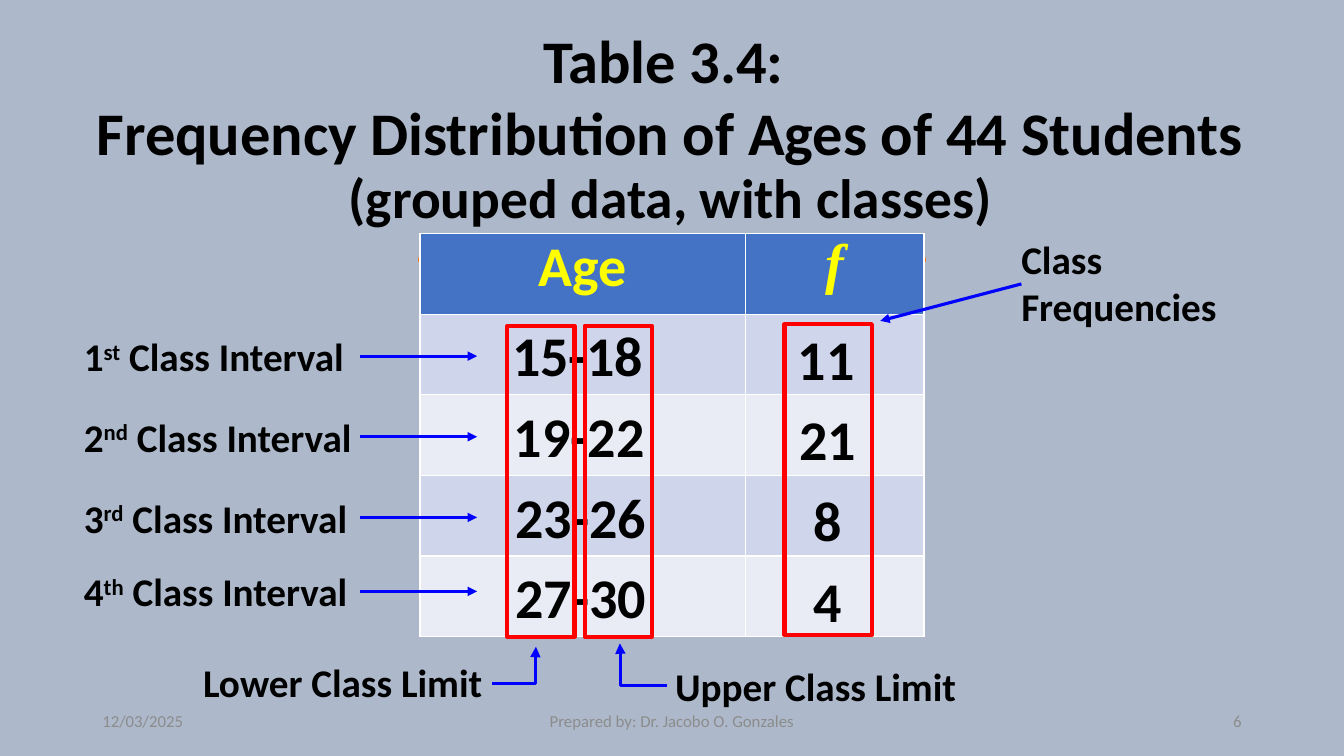
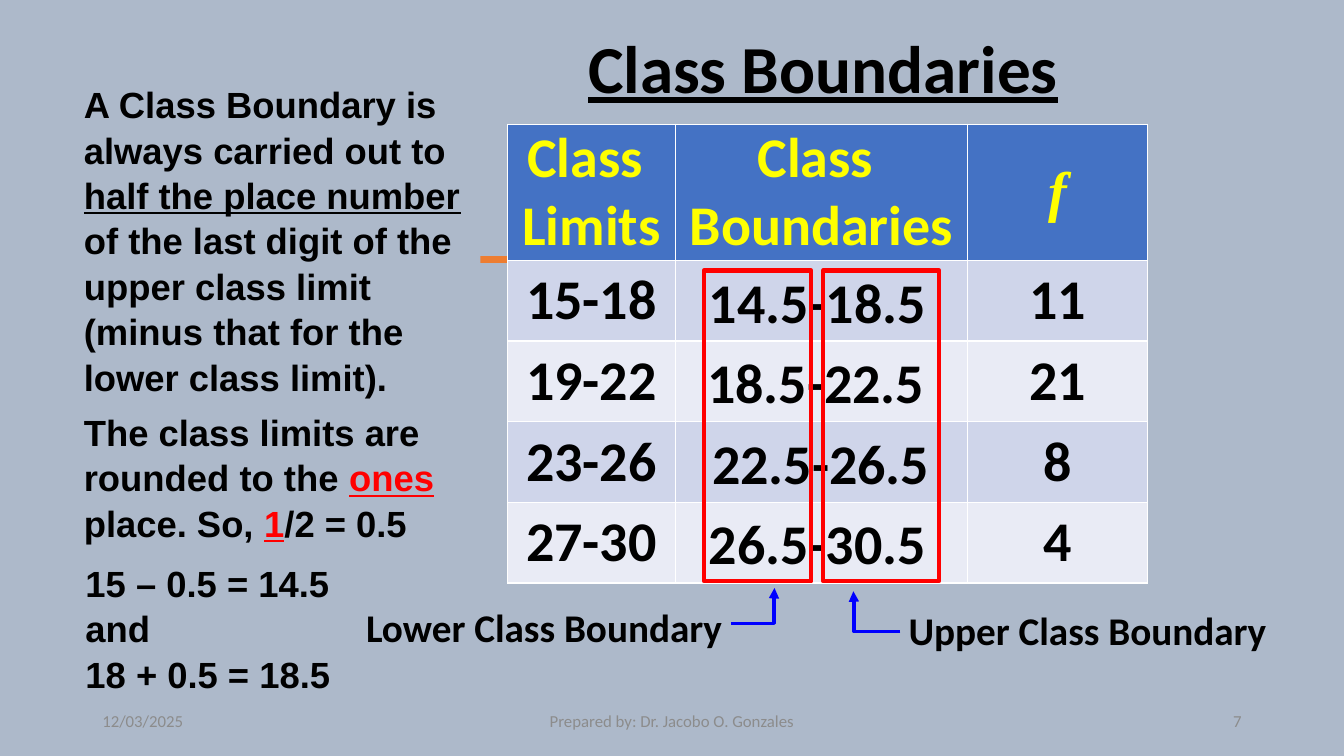
import pptx
import pptx.dml.color
import pptx.enum.shapes
import pptx.enum.text
import pptx.oxml
import pptx.oxml.ns
import pptx.util

RGBColor = pptx.dml.color.RGBColor
ALIGN = pptx.enum.text.PP_ALIGN
ANCHOR = pptx.enum.text.MSO_ANCHOR
CONNECTOR = pptx.enum.shapes.MSO_CONNECTOR
qn = pptx.oxml.ns.qn

BACKGROUND = RGBColor(0xAD, 0xB9, 0xCA)
BLACK = RGBColor(0, 0, 0)
YELLOW = RGBColor(0xFF, 0xFF, 0)
RED = RGBColor(0xFF, 0, 0)
BLUE = RGBColor(0, 0, 0xFF)
ORANGE = RGBColor(0xED, 0x7D, 0x31)
GREY = RGBColor(0x8C, 0x8C, 0x8C)
HEADER_FILL = RGBColor(0x44, 0x72, 0xC4)
BAND_FILLS = [RGBColor(0xE9, 0xEB, 0xF5), RGBColor(0xCF, 0xD5, 0xEA)]

prs = pptx.Presentation()
prs.slide_width = pptx.util.Inches(40 / 3)
prs.slide_height = pptx.util.Inches(7.5)
UNIT = prs.slide_width // 800  # grid of 800 columns by 450 rows
ROW = 48  # height of a table row in grid rows


def grid(*counts):
    """Turn counts of grid columns and rows into lengths."""
    return [n * UNIT for n in counts]


def write(tf, text, size=28, font="Calibri", color=BLACK, bold=True, italic=False,
          underline=False, align=ALIGN.LEFT, anchor=ANCHOR.TOP, spacing=None):
    """Fill a text frame from a string or a list of (string, overrides) runs."""
    tf.word_wrap = True
    tf.vertical_anchor = anchor
    base = dict(size=size, font=font, color=color, bold=bold, italic=italic,
                underline=underline, baseline=0)
    runs = [(text, {})] if isinstance(text, str) else text
    p = tf.paragraphs[0]
    for chunk, overrides in runs:
        fmt = base | overrides
        for i, line in enumerate(chunk.split("\n")):
            if i:
                p = tf.add_paragraph()
            r = p.add_run()
            r.text = line
            r.font.size = pptx.util.Pt(fmt["size"])
            r.font.name = fmt["font"]
            r.font.color.rgb = fmt["color"]
            r.font.bold = fmt["bold"]
            r.font.italic = fmt["italic"]
            r.font.underline = fmt["underline"]
            if fmt["baseline"]:
                r.font._element.set("baseline", str(fmt["baseline"]))
    for p in tf.paragraphs:
        p.alignment = align
        p.line_spacing = spacing


LIMITS = ["15-18", "19-22", "23-26", "27-30"]
FREQUENCIES = ["11", "21", "8", "4"]
BOUNDARIES = ["14.5-18.5", "18.5-22.5", "22.5-26.5", "26.5-30.5"]
BIG = dict(size=40)
NOTE = dict(size=26, font="Arial", spacing=1.04)
MARKED = dict(color=RED, underline=True)

interval_ys = [212, 260, 308, 352]
table_texts, interval_labels, boundary_texts = [], [], []
for i, (limit, f, x) in enumerate(zip(LIMITS, FREQUENCIES, [299, 300, 301, 301])):
    table_texts.append(((x, 188 + i * ROW, 99, 46), limit, BIG))
    table_texts.append(((x + 170, 190 + i * ROW, 64, 46), f.rjust(2), BIG))
for number, (suffix, y) in enumerate(zip(["st", "nd", "rd", "th"], interval_ys), 1):
    label = [(str(number), {}), (suffix, dict(baseline=30000)), (" Class Interval", {})]
    interval_labels.append(((44, y - 17, 175, 34), label, {}))
for i, (boundary, x) in enumerate(zip(BOUNDARIES, [416, 415, 418, 416])):
    boundary_texts.append(((x, 156 + i * ROW, 156, 46), boundary, BIG))

slides = [
    dict(
        number="6",
        title_box=(49, 7, 700, 133),
        title=[("Table 3.4: \nFrequency Distribution of Ages of 44 Students", dict(size=43.2)),
               (" ", dict(size=48.6)),
               ("(grouped data, with classes)", dict(size=39.6))],
        title_underline=False,
        table_at=(250, 139),
        columns=[194, 106],
        header_height=ROW,
        anchor=ANCHOR.TOP,
        rows=[["Age", "f"]] + [["", ""]] * 4,
        texts=table_texts + interval_labels + [
            ((602, 137, 172, 62), "Class Frequencies", {}),
            ((115, 389, 181, 34), "Lower Class Limit", {}),
            ((396, 391, 209, 34), "Upper Class Limit", {}),
        ],
        note=None,
        frames=[(467, 193, 52, 185), (302, 194, 40, 185), (348, 194, 40, 185)],
        arrows=[(214, y, 284, y) for y in interval_ys] + [(608, 169, 524, 191)],
        elbows=[(293, 407, 319, 385), (397, 408, 369, 383)],
    ),
    dict(
        number="7",
        title_box=(230, 0, 520, 67),
        title="Class Boundaries",
        title_underline=True,
        table_at=(302, 74),
        columns=[100, 174, 107],
        header_height=81,
        anchor=ANCHOR.MIDDLE,
        rows=[["Class \nLimits", "Class \nBoundaries", "f"]]
        + [[limit, "", f] for limit, f in zip(LIMITS, FREQUENCIES)],
        texts=boundary_texts + [
            ((212, 356, 229, 34), "Lower Class Boundary", {}),
            ((535, 358, 247, 34), "Upper Class Boundary", {}),
            ((44, 240, 229, 85),
             [("The class limits are rounded to the ", {}), ("ones", MARKED),
              (" place. So, ", {}), ("1", MARKED), ("/2 = 0.5", {})], NOTE),
            ((45, 330, 216, 85), "15 – 0.5 = 14.5\nand\n18 + 0.5 = 18.5", NOTE),
        ],
        note=[("A Class Boundary is always carried out to ", {}),
              ("half the place number", dict(underline=True)),
              (" of the last digit of the upper class limit "
               "(minus that for the lower class limit).", {})],
        frames=[(419, 161, 64, 185), (490, 161, 69, 185)],
        arrows=[],
        elbows=[(435, 371, 461, 350), (536, 376, 508, 352)],
    ),
]

fill = prs.slide_master.background.fill
fill.solid()
fill.fore_color.rgb = BACKGROUND

for spec_of_slide in slides:
    d = spec_of_slide
    s = prs.slides.add_slide(prs.slide_layouts[6])

    # Title and the orange rule behind the table
    write(s.shapes.add_textbox(*grid(*d["title_box"])).text_frame, d["title"], size=48,
          underline=d["title_underline"], align=ALIGN.CENTER, anchor=ANCHOR.BOTTOM, spacing=0.9)
    builder = s.shapes.build_freeform(250, 154, scale=UNIT)
    builder.add_line_segments([(550, 154), (550, 155), (250, 155)], close=True)
    rule = builder.convert_to_shape()
    rule.shadow.inherit = False
    rule.fill.solid()
    rule.fill.fore_color.rgb = ORANGE
    rule.line.color.rgb = ORANGE
    rule.line.width = pptx.util.Pt(3.25)

    # Table
    rows, columns = d["rows"], d["columns"]
    heights = [d["header_height"]] + [ROW] * (len(rows) - 1)
    table = s.shapes.add_table(len(rows), len(columns),
                               *grid(*d["table_at"], sum(columns), sum(heights))).table
    for column, width in zip(table.columns, grid(*columns)):
        column.width = width
    for i, (row, height) in enumerate(zip(rows, grid(*heights))):
        table.rows[i].height = height
        for j, text in enumerate(row):
            cell = table.cell(i, j)
            cell.fill.solid()
            cell.fill.fore_color.rgb = BAND_FILLS[i % 2] if i else HEADER_FILL
            cell.margin_left = cell.margin_right = pptx.util.Inches(0.07)
            cell.margin_top = cell.margin_bottom = 0
            cell.vertical_anchor = d["anchor"]
            if text:
                write(cell.text_frame, text, size=40, color=BLACK if i else YELLOW,
                      font="Times New Roman" if text == "f" else "Calibri",
                      italic=text == "f", align=ALIGN.CENTER)

    # Labels, and the note with its filled box
    for box, text, fmt in d["texts"]:
        write(s.shapes.add_textbox(*grid(*box)).text_frame, text, **fmt)
    if d["note"]:
        sp = s.shapes.add_textbox(*grid(44, 45, 242, 190))
        sp.fill.solid()
        sp.fill.fore_color.rgb = BACKGROUND
        write(sp.text_frame, d["note"], **NOTE)

    # Red frames and blue arrows
    for box in d["frames"]:
        sp = s.shapes.add_shape(pptx.enum.shapes.MSO_SHAPE.RECTANGLE, *grid(*box))
        sp.shadow.inherit = False
        sp.fill.background()
        sp.line.color.rgb = RED
        sp.line.width = pptx.util.Pt(3)
    arrows = [(CONNECTOR.STRAIGHT, 2.25, ends) for ends in d["arrows"]]
    arrows += [(CONNECTOR.ELBOW, 2.5, ends) for ends in d["elbows"]]
    for kind, width, ends in arrows:
        cxn = s.shapes.add_connector(kind, *grid(*ends))
        cxn.line.color.rgb = BLUE
        cxn.line.width = pptx.util.Pt(width)
        sp_pr = cxn._element.spPr
        tail = pptx.oxml.parse_xml(
            '<a:tailEnd xmlns:a="http://schemas.openxmlformats.org/drawingml/2006/main"'
            ' type="triangle"/>')
        sp_pr.find(qn("a:ln")).append(tail)
        sp_pr.append(sp_pr.makeelement(qn("a:effectLst"), {}))
        if kind == CONNECTOR.ELBOW:
            geometry = sp_pr.find(qn("a:prstGeom"))
            guides = geometry.find(qn("a:avLst"))
            if guides is None:
                guides = geometry.makeelement(qn("a:avLst"), {})
                geometry.append(guides)
            guides.append(guides.makeelement(qn("a:gd"), {"name": "adj1", "fmla": "val 99000"}))

    # Footer
    for x, width, text, align in [(55, 180, "12/03/2025", ALIGN.LEFT),
                                  (265, 270, "Prepared by: Dr. Jacobo O. Gonzales", ALIGN.CENTER),
                                  (565, 180, d["number"], ALIGN.RIGHT)]:
        write(s.shapes.add_textbox(*grid(x, 417, width, 24)).text_frame, text, size=12,
              color=GREY, bold=False, align=align, anchor=ANCHOR.MIDDLE)

prs.save("out.pptx")
